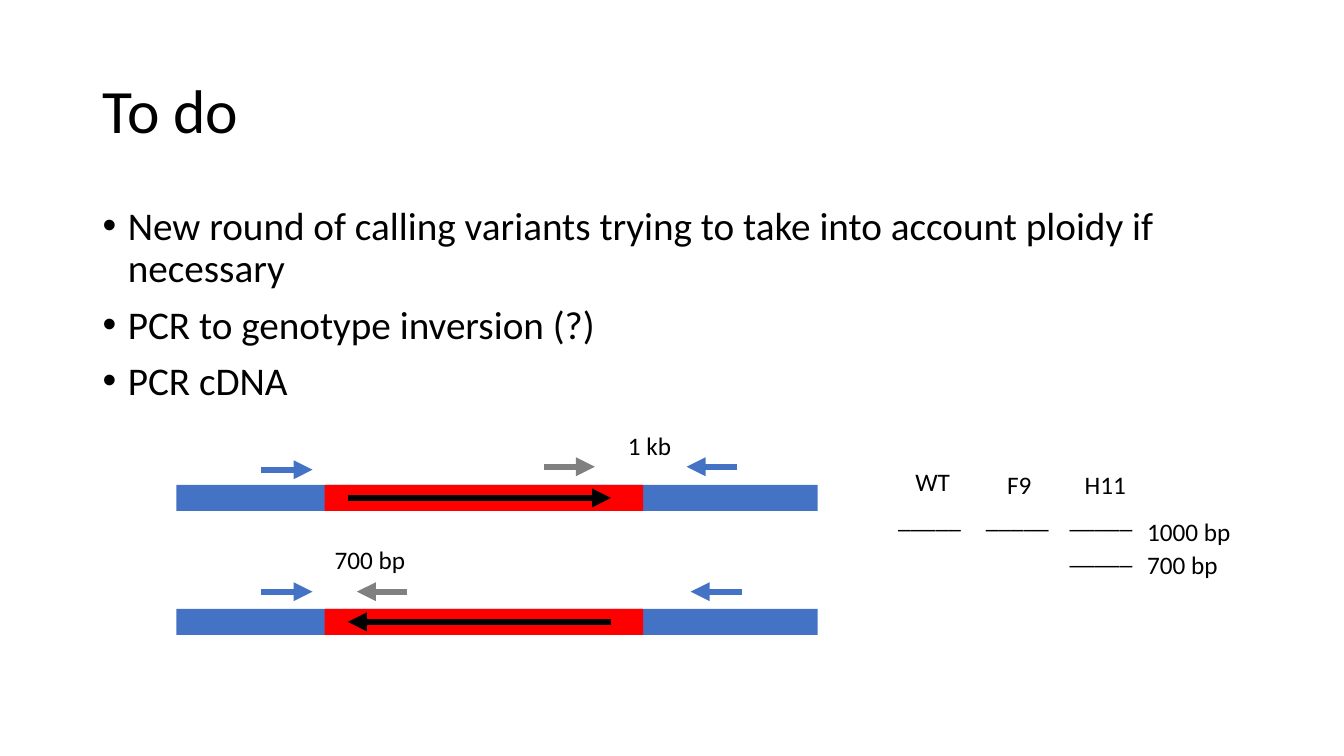
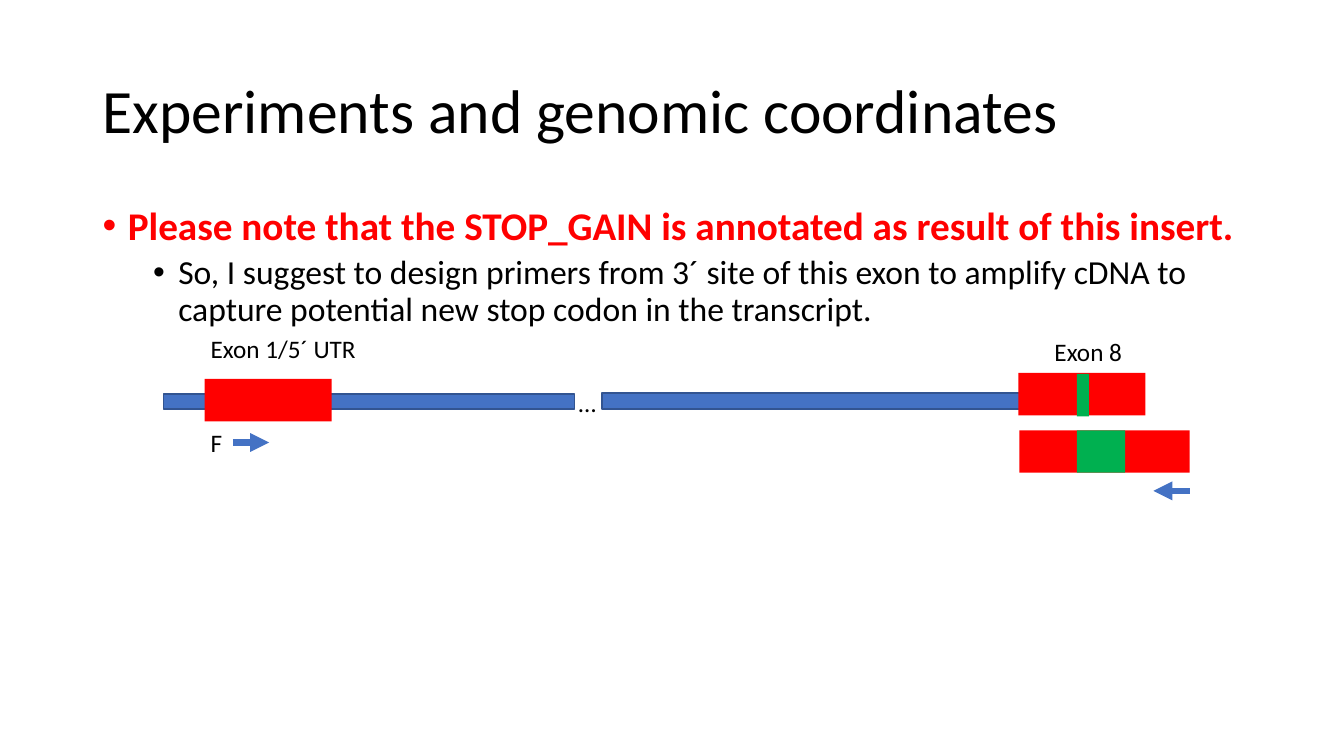
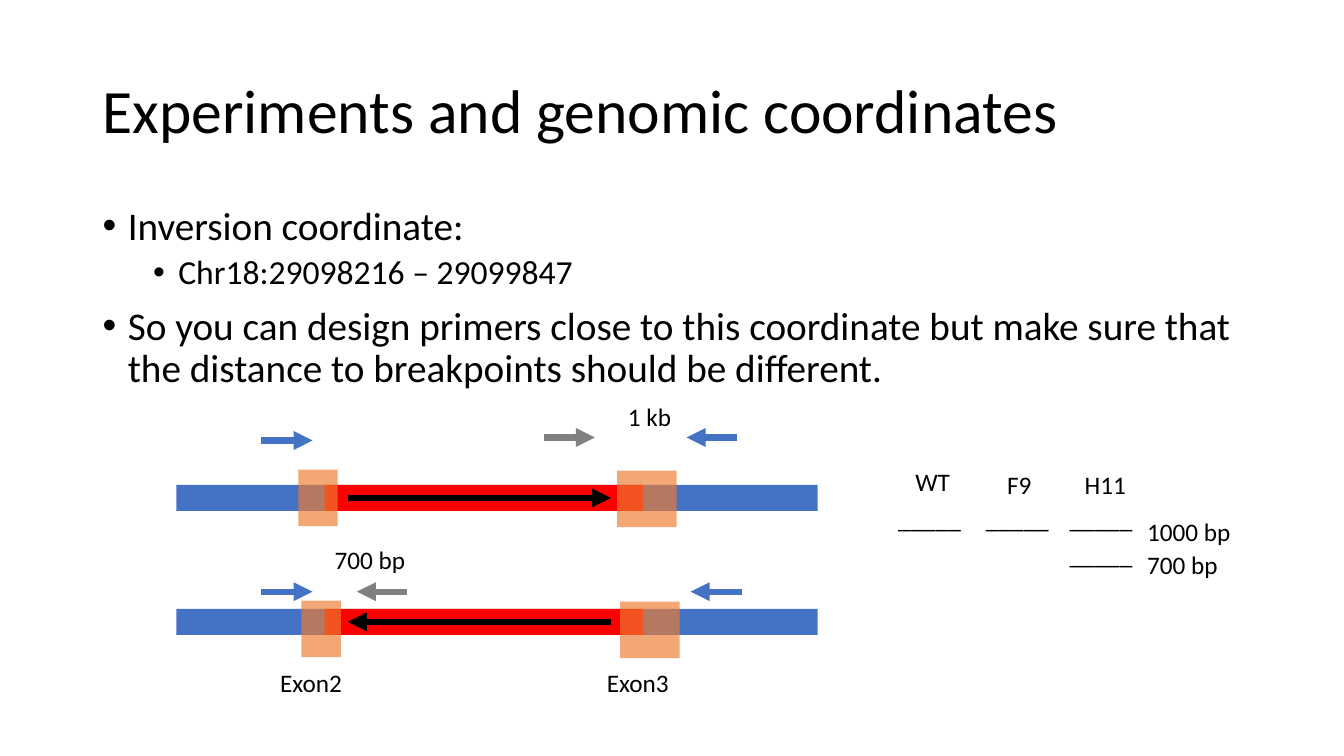
from lxml import etree
from pptx import Presentation
from pptx.dml.color import RGBColor
from pptx.enum.shapes import MSO_CONNECTOR as CONN, MSO_SHAPE as SHAPE
from pptx.enum.text import MSO_ANCHOR as ANCHOR, MSO_AUTO_SIZE as AUTO
from pptx.oxml.ns import qn
from pptx.util import Inches, Pt

FONT = "Calibri"
COLORS = {
    "text": "000000",
    "blue": "4472C4",
    "outline": "325491",
    "red": "FF0000",
    "green": "00B050",
    "gray": "808080",
    "orange": "ED7D31",
}
LEVELS = [
    {"size": 28, "before": 10, "indent": 0.25},
    {"size": 24, "before": 5, "indent": 0.75},
]


def rgb(name):
    return RGBColor.from_string(COLORS[name])


def add_text(tf, text, first=True, size=18, color="text", bold=False,
             spacing=None, before=None, indent=None):
    p = tf.paragraphs[0] if first else tf.add_paragraph()
    if spacing:
        p.line_spacing = spacing
    if before is not None:
        p.space_before = Pt(before)
    if indent is not None:
        ppr = p._p.get_or_add_pPr()
        ppr.set("marL", str(Inches(indent)))
        ppr.set("indent", str(-Inches(0.25)))
        etree.SubElement(ppr, qn("a:buFont")).set("typeface", "Arial")
        etree.SubElement(ppr, qn("a:buChar")).set("char", "•")
    r = p.add_run()
    r.text = text
    r.font.name = FONT
    r.font.size = Pt(size)
    r.font.bold = bold
    r.font.color.rgb = rgb(color)


def add_frame(s, x, y, w, h):
    tf = s.shapes.add_textbox(*map(Inches, (x, y, w, h))).text_frame
    tf.word_wrap = True
    return tf


def add_label(s, text, x, y, w):
    tf = add_frame(s, x, y, w, 0.4)
    tf.word_wrap = False
    tf.auto_size = AUTO.SHAPE_TO_FIT_TEXT
    add_text(tf, text)


def add_title(s, text):
    tf = add_frame(s, 0.92, 0.4, 11.5, 1.45)
    tf.vertical_anchor = ANCHOR.MIDDLE
    add_text(tf, text, size=44, spacing=0.9)


def add_bullets(s, items, height):
    tf = add_frame(s, 0.92, 2, 11.5, height)
    for i, (level, text, style) in enumerate(items):
        add_text(tf, text, first=i == 0, spacing=0.9, **LEVELS[level], **style)


def add_bar(s, x, y, w, h, color, outline=None, alpha=None):
    sp = s.shapes.add_shape(SHAPE.RECTANGLE, *map(Inches, (x, y, w, h)))
    sp.shadow.inherit = False
    sp.fill.solid()
    sp.fill.fore_color.rgb = rgb(color)
    if outline:
        sp.line.color.rgb = rgb(outline)
        sp.line.width = Pt(1)
    else:
        sp.line.fill.background()
    if alpha:
        clr = sp._element.spPr.find(".//" + qn("a:srgbClr"))
        etree.SubElement(clr, qn("a:alpha")).set("val", str(alpha * 1000))


def add_arrow(s, x1, x2, y, color="blue"):
    c = s.shapes.add_connector(CONN.STRAIGHT, *map(Inches, (x1, y, x2, y)))
    c.line.color.rgb = rgb(color)
    c.line.width = Pt(4.5)
    etree.SubElement(c.line._get_or_add_ln(), qn("a:tailEnd")).set("type", "triangle")
    etree.SubElement(c._element.spPr, qn("a:effectLst"))


def add_allele(s, y, start, end):
    add_bar(s, 1.75, y, 6.36, 0.26, "blue")
    add_bar(s, 3.22, y, 3.16, 0.26, "red")
    add_arrow(s, start, end, y + 0.13, "text")


def add_inversion(s, primer_y):
    add_allele(s, 4.81, 3.45, 6.06)
    add_arrow(s, 2.59, 3.1, primer_y + 0.03)
    add_arrow(s, 7.31, 6.81, primer_y)
    add_arrow(s, 5.4, 5.9, primer_y, "gray")
    add_label(s, "1 kb", 6.13, primer_y - 0.41, 0.63)

    add_allele(s, 6.04, 6.06, 3.45)
    for x1, x2, color in [(2.59, 3.1, "blue"), (7.36, 6.85, "blue"), (4.04, 3.54, "gray")]:
        add_arrow(s, x1, x2, 5.87, color)
    add_label(s, "700 bp", 3.22, 5.35, 0.91)


def add_gel(s):
    lanes = [("WT", 8.98, 4.58, 0.55), ("F9", 9.89, 4.61, 0.45), ("H11", 10.66, 4.61, 0.62)]
    for lane in lanes:
        add_label(s, *lane)
    for x, y in [(8.81, 4.94), (9.68, 4.94), (10.51, 4.94), (10.51, 5.3)]:
        add_label(s, "_____", x, y, 0.83)
    add_label(s, "1000 bp", 11.28, 5.07, 1.04)
    add_label(s, "700 bp", 11.28, 5.4, 0.91)


def build_todo(s):
    add_title(s, "To do")
    add_bullets(s, [
        (0, "New round of calling variants trying to take into account ploidy if necessary", {}),
        (0, "PCR to genotype inversion (?)", {}),
        (0, "PCR cDNA", {}),
    ], 2.13)
    add_inversion(s, 4.63)
    add_gel(s)


def build_insert(s):
    add_title(s, "Experiments and genomic coordinates")
    add_bullets(s, [
        (0, "Please note that the STOP_GAIN is annotated as result of this insert.",
         {"color": "red", "bold": True}),
        (1, "So, I suggest to design primers from 3´ site of this exon to amplify cDNA "
            "to capture potential new stop codon in the transcript.", {}),
    ], 4.76)
    add_bar(s, 1.62, 3.91, 4.08, 0.15, "blue", outline="outline")
    add_bar(s, 5.97, 3.9, 4.16, 0.16, "blue", outline="outline")
    exons = [
        (2.03, 3.76, 1.26, "red"),
        (10.1, 3.7, 1.26, "red"),
        (10.68, 3.71, 0.12, "green"),
        (10.11, 4.27, 1.69, "red"),
        (10.68, 4.27, 0.48, "green"),
    ]
    for x, y, w, color in exons:
        add_bar(s, x, y, w, 0.42, color)
    add_arrow(s, 11.8, 11.44, 4.87)
    add_arrow(s, 2.31, 2.67, 4.39)
    add_label(s, "F", 1.99, 4.19, 0.32)
    add_label(s, "Exon 8", 10.36, 3.29, 0.88)
    add_label(s, "Exon 1/5´ UTR", 1.99, 3.26, 1.66)
    add_label(s, "…", 5.64, 3.79, 0.38)


def build_coordinates(s):
    add_title(s, "Experiments and genomic coordinates")
    add_bullets(s, [
        (0, "Inversion coordinate:", {}),
        (1, "Chr18:29098216 – 29099847", {}),
        (0, "So you can design primers close to this coordinate but make sure that "
            "the distance to breakpoints should be different.", {}),
    ], 4.76)
    add_inversion(s, 4.34)
    add_gel(s)
    for x, y, w in [(2.96, 4.66, 0.39), (6.12, 4.67, 0.59), (2.99, 5.96, 0.39), (6.15, 5.97, 0.59)]:
        add_bar(s, x, y, w, 0.56, "orange", alpha=67)
    add_label(s, "Exon2", 2.68, 6.57, 0.82)
    add_label(s, "Exon3", 5.92, 6.57, 0.82)


def main():
    prs = Presentation()
    prs.slide_width = Inches(13.33)
    prs.slide_height = Inches(7.5)
    for build in (build_todo, build_insert, build_coordinates):
        build(prs.slides.add_slide(prs.slide_layouts[6]))
    prs.save("out.pptx")


if __name__ == "__main__":
    main()
